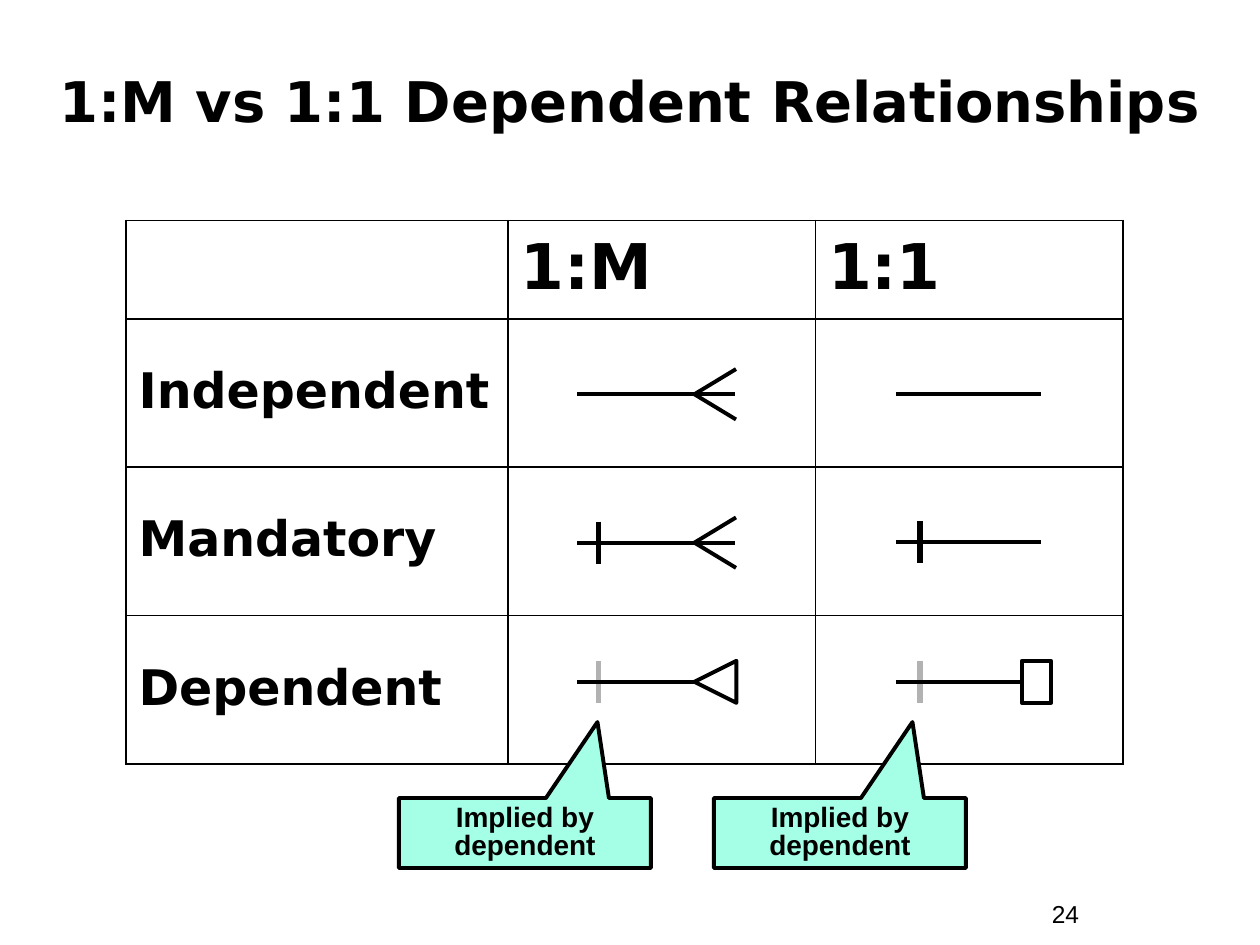
import pptx
import pptx.util
import pptx.dml.color
import pptx.enum.shapes
import pptx.enum.text
import pptx.oxml
import pptx.oxml.ns
from lxml import etree

Pt = pptx.util.Pt
RGBColor = pptx.dml.color.RGBColor
Shape = pptx.enum.shapes.MSO_SHAPE
Anchor = pptx.enum.text.MSO_ANCHOR
Align = pptx.enum.text.PP_ALIGN
qn = pptx.oxml.ns.qn

BLACK = RGBColor(0x00, 0x00, 0x00)
GREY = RGBColor(0xB2, 0xB2, 0xB2)
MINT = RGBColor(0xA5, 0xFF, 0xE7)

HEADERS = ["", "1:M", "1:1"]
ROW_LABELS = ["Independent", "Mandatory", "Dependent"]
COLUMN_WIDTHS = [218.2, 175.8, 175.8]
ROW_HEIGHTS = [56.2, 84.8, 84.8, 84.8]


def write_text(text_frame, text, size, font_name, bold=False, align=None, spacing=None):
    text_frame.word_wrap = True
    text_frame.text = text
    paragraph = text_frame.paragraphs[0]
    paragraph.alignment = align
    paragraph.line_spacing = spacing
    for run in paragraph.runs:
        run.font.size = Pt(size)
        run.font.name = font_name
        run.font.bold = bold
        run.font.color.rgb = BLACK


def add_label(slide, box, text, size, font_name, **style):
    shape = slide.shapes.add_textbox(*map(Pt, box))
    shape.text_frame.vertical_anchor = Anchor.MIDDLE
    write_text(shape.text_frame, text, size, font_name, **style)


def add_line(shapes, start, end, color=BLACK, width=2.25):
    connector = shapes.add_connector(
        pptx.enum.shapes.MSO_CONNECTOR.STRAIGHT, *map(Pt, (*start, *end)))
    connector.line.color.rgb = color
    connector.line.width = Pt(width)
    etree.SubElement(connector._element.spPr, qn("a:effectLst"))


def add_outline(slide, kind, box):
    shape = slide.shapes.add_shape(kind, *map(Pt, box))
    shape.shadow.inherit = False
    shape.fill.background()
    shape.line.color.rgb = BLACK
    shape.line.width = Pt(2.25)
    return shape


def add_borders(cell):
    properties = cell._tc.get_or_add_tcPr()
    for index, side in enumerate(("lnL", "lnR", "lnT", "lnB")):
        border = pptx.oxml.parse_xml(
            f'<a:{side} {pptx.oxml.ns.nsdecls("a")} w="{Pt(1.08)}">'
            f'<a:solidFill><a:srgbClr val="{BLACK}"/></a:solidFill></a:{side}>')
        properties.insert(index, border)


def add_relationship_table(slide, left, top):
    frame = slide.shapes.add_table(
        len(ROW_HEIGHTS), len(COLUMN_WIDTHS), Pt(left), Pt(top),
        Pt(sum(COLUMN_WIDTHS)), Pt(sum(ROW_HEIGHTS)))
    table = frame.table
    table.first_row = False
    table.horz_banding = False
    for column, width in zip(table.columns, COLUMN_WIDTHS):
        column.width = Pt(width)
    for row, height in zip(table.rows, ROW_HEIGHTS):
        row.height = Pt(height)
    contents = [HEADERS] + [[label, "", ""] for label in ROW_LABELS]
    for row_index, texts in enumerate(contents):
        for column_index, text in enumerate(texts):
            cell = table.cell(row_index, column_index)
            cell.fill.background()
            cell.vertical_anchor = Anchor.MIDDLE
            add_borders(cell)
            if text:
                write_text(cell.text_frame, text, 28 if row_index else 36,
                           "DejaVu Sans", bold=True, spacing=0.9)


def add_bar(slide, x, y, kind):
    color = GREY if kind == "Dependent" else BLACK
    if kind != "Independent":
        add_line(slide.shapes, (x, y - 12), (x, y + 12), color, 3)


def add_one_to_many(slide, left, top, kind):
    dependent = kind == "Dependent"
    x = left + 39.6
    y = top + (37.8 if dependent else 43.1)
    tip = x + 67
    add_bar(slide, x + 12.2, y, kind)
    add_line(slide.shapes, (x, y), (tip if dependent else x + 90, y))
    if dependent:
        triangle = add_outline(slide, Shape.FLOWCHART_EXTRACT, (tip, y - 12, 24, 24))
        triangle.rotation = 270
    else:
        fork = slide.shapes.add_group_shape()
        for rise in (-14.4, 14.4):
            add_line(fork.shapes, (tip, y), (tip + 23.8, y + rise))


def add_one_to_one(slide, left, top, kind):
    dependent = kind == "Dependent"
    x = left + 46
    y = top + (37.8 if dependent else 42.8)
    add_bar(slide, x + 13.7, y, kind)
    add_line(slide.shapes, (x, y), (x + (71 if dependent else 82.7), y))
    if dependent:
        add_outline(slide, Shape.RECTANGLE, (x + 72, y - 12, 16.6, 24))


def add_callout(slide, box):
    callout = add_outline(slide, Shape.RECTANGULAR_CALLOUT, box)
    callout.fill.solid()
    callout.fill.fore_color.rgb = MINT
    callout.adjustments[0] = 0.288
    callout.adjustments[1] = -1.586
    callout.text_frame.vertical_anchor = Anchor.TOP
    write_text(callout.text_frame, "Implied by dependent", 16, "Arial",
               bold=True, align=Align.CENTER, spacing=0.85)


def build_slide(presentation):
    slide = presentation.slides.add_slide(presentation.slide_layouts[6])
    add_label(slide, (24, 24, 672, 66), "1:M vs 1:1 Dependent Relationships",
              32, "DejaVu Sans", bold=True, align=Align.CENTER)
    left, top = 72, 126
    add_relationship_table(slide, left, top)
    many_left = left + COLUMN_WIDTHS[0]
    one_left = many_left + COLUMN_WIDTHS[1]
    for index, kind in enumerate(ROW_LABELS):
        row_top = top + sum(ROW_HEIGHTS[:index + 1])
        add_one_to_many(slide, many_left, row_top, kind)
        add_one_to_one(slide, one_left, row_top, kind)
    for callout_left in (228, 408):
        add_callout(slide, (callout_left, 456, 144, 40))
    add_label(slide, (594, 510, 66, 24), "24", 14, "Arial")


def main():
    presentation = pptx.Presentation()
    presentation.slide_width = Pt(720)
    presentation.slide_height = Pt(540)
    build_slide(presentation)
    presentation.save("out.pptx")


if __name__ == "__main__":
    main()
